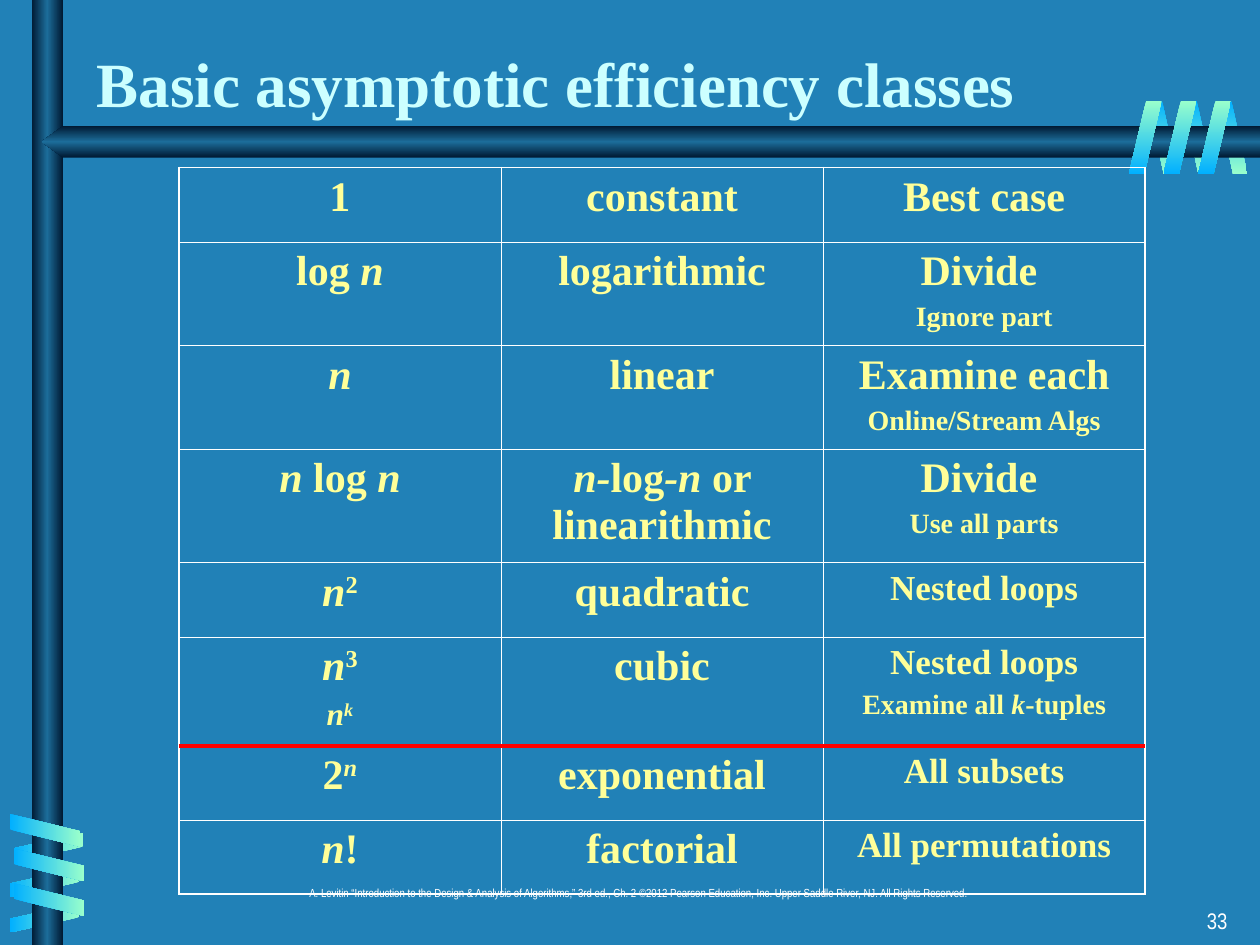
from dataclasses import dataclass
from typing import NamedTuple

from lxml import etree
from pptx import Presentation
from pptx import util as u
from pptx.dml.color import RGBColor
from pptx.enum import shapes, text
from pptx.oxml import parse_xml
from pptx.oxml.ns import nsdecls, qn

COLS, ROWS = 40, 30  # grid of the slide, quarter-inch cells


@dataclass(frozen=True)
class Theme:
    background: str = "2181B7"
    title: str = "CCFFFF"
    body: str = "FFFF99"
    light: str = "FFFFFF"
    divider: str = "FF0000"
    bar: tuple = ("001932", "1C6D9A", "001932")
    blue_green: tuple = ("01B0FF", "99FFCC")
    green_blue: tuple = ("99FFCC", "01B0FF")
    serif: str = "Times New Roman"
    narrow: str = "Arial Narrow"
    title_size: float = 36
    large: float = 24
    medium: float = 20
    minor: float = 18
    small: float = 16
    number_size: float = 12.9
    footer_size: float = 6.7
    inner_border: float = 0.45
    outer_border: float = 1.08


T = Theme()


class Box(NamedTuple):
    left: float
    top: float
    width: float
    height: float


class Line(NamedTuple):
    """Words of one paragraph: | switches italics, a leading ^ raises a part."""
    markup: str
    size: float = T.large


class Coil(NamedTuple):
    """Bands of equal size, each at its own left and top."""
    corners: list
    width: float
    height: float
    rotation: int
    flipped: bool
    colors: tuple
    angle: int


class Label(NamedTuple):
    words: str
    box: Box
    font: str
    size: float
    color: str
    align: text.PP_ALIGN
    anchor: text.MSO_ANCHOR = text.MSO_ANCHOR.TOP
    spacing: float = 1.0
    bold: bool = False


BACK_TOP = Coil([(36.44 + 1.1 * i, 3.2) for i in (2, 1, 0)], 0.96, 2.32, 180, True, T.blue_green, 90)
BACK_SIDE = Coil([(x, 25.8 + 1.12 * i) for i, x in enumerate((1.08, 0.96, 0.96))],
                 0.92, 2.2, 90, True, T.green_blue, 0)
FRONT_SIDE = Coil([(x, 25.24 + 1.1 * i) for i, x in enumerate((0.92, 1.04, 1.04))],
                  1.04, 2.24, 270, False, T.blue_green, 0)
FRONT_TOP = Coil([(35.84 + 1.1 * i, 3.2) for i in (2, 1, 0)], 1.04, 2.32, 0, False, T.green_blue, 90)

LABELS = [
    Label("A. Levitin “Introduction to the Design & Analysis of Algorithms,” 3rd ed., Ch. 2 "
          "©2012 Pearson Education, Inc. Upper Saddle River, NJ. All Rights Reserved. ",
          Box(8.68, 28, 23.32, 1.32), T.narrow, T.footer_size, T.light,
          text.PP_ALIGN.CENTER, spacing=0.8),
    Label("33", Box(31.04, 28.68, 8.32, 1.32), T.narrow, T.number_size, T.light,
          text.PP_ALIGN.RIGHT, spacing=0.9),
    Label("Basic asymptotic efficiency classes", Box(2.68, 1, 33.2, 3), T.serif, T.title_size,
          T.title, text.PP_ALIGN.LEFT, text.MSO_ANCHOR.BOTTOM, bold=True),
]

CLASSES = [  # row height, then the lines of each cell
    (2.36, [Line("1")], [Line("constant")], [Line("Best case")]),
    (3.28, [Line("log |n")], [Line("logarithmic")], [Line("Divide "), Line("Ignore part", T.small)]),
    (3.28, [Line("|n")], [Line("linear")],
     [Line("Examine each"), Line("Online/Stream Algs", T.small)]),
    (3.6, [Line("|n |log |n")], [Line("|n-|log|-n |or linearithmic")],
     [Line("Divide "), Line("Use all parts", T.small)]),
    (2.36, [Line("|n|^2")], [Line("quadratic")], [Line("Nested loops", T.medium)]),
    (3.44, [Line("|n|^3"), Line("|n||^k", T.minor)], [Line("cubic")],
     [Line("Nested loops", T.medium), Line("Examine all |k|-tuples", T.small)]),
    (2.36, [Line("2|^n")], [Line("exponential")], [Line("All subsets", T.medium)]),
    (2.36, [Line("|n|!")], [Line("factorial")], [Line("All permutations", T.medium)]),
]
TABLE = Box(5.68, 5.32, 30.68, sum(row[0] for row in CLASSES))
DIVIDER_ROW = 23.68


def grid(*cells: float) -> list:
    return [u.Inches(n / 4) for n in cells]


def set_gradient(s, colors: tuple, angle: int) -> None:
    """Fill with evenly spaced stops that keep their direction when the shape turns."""
    s.fill.background()
    old = s._element.spPr.find(qn("a:noFill"))
    stops = "".join(f'<a:gs pos="{100000 * i // (len(colors) - 1)}"><a:srgbClr val="{c}"/></a:gs>'
                    for i, c in enumerate(colors))
    old.getparent().replace(old, parse_xml(
        f'<a:gradFill {nsdecls("a")} rotWithShape="0"><a:gsLst>{stops}</a:gsLst>'
        f'<a:lin ang="{angle * 60000}" scaled="0"/></a:gradFill>'))
    s.line.fill.background()
    s.shadow.inherit = False


def draw_coil(slide, coil: Coil) -> None:
    group = slide.shapes.add_group_shape()
    for corner in coil.corners:
        s = group.shapes.add_shape(shapes.MSO_SHAPE.PARALLELOGRAM,
                                   *grid(*corner, coil.width, coil.height))
        s.adjustments[0] = 0.53
        s.rotation = coil.rotation
        if coil.flipped:
            s._element.spPr.find(qn("a:xfrm")).set("flipH", "1")
        set_gradient(s, coil.colors, coil.angle)


def draw_bars(slide) -> None:
    upright = slide.shapes.add_shape(shapes.MSO_SHAPE.RECTANGLE, *grid(1, 0, 1, ROWS))
    set_gradient(upright, T.bar, 0)
    builder = slide.shapes.build_freeform(*grid(COLS, 4), scale=1.0)
    builder.add_line_segments([grid(*pt) for pt in ((2, 4), (1.32, 4.5), (2, 5), (COLS, 5))])
    set_gradient(builder.convert_to_shape(), T.bar, 90)


def style(font, name: str, size: float, color: str, bold: bool) -> None:
    font.name, font.size, font.bold = name, u.Pt(size), bold
    font.color.rgb = RGBColor.from_string(color)


def draw_label(slide, label: Label) -> None:
    tf = slide.shapes.add_textbox(*grid(*label.box)).text_frame
    tf.word_wrap, tf.vertical_anchor = True, label.anchor
    tf.text = label.words
    p = tf.paragraphs[0]
    p.alignment, p.line_spacing = label.align, label.spacing
    style(p.runs[0].font, label.font, label.size, label.color, label.bold)


def write_cell(cell, lines: list) -> None:
    tf = cell.text_frame
    for i, line in enumerate(lines):
        p = tf.add_paragraph() if i else tf.paragraphs[0]
        p.alignment = text.PP_ALIGN.CENTER
        if i:
            p.space_before = u.Pt(line.size / 4)
        for part, words in enumerate(line.markup.split("|")):
            if words:
                r = p.add_run()
                r.text = words.removeprefix("^")
                style(r.font, T.serif, line.size, T.body, True)
                r.font.italic = part % 2 == 1
                if words.startswith("^"):
                    r.font._element.set("baseline", "30000")


def set_borders(cell, outer: dict) -> None:
    tc_pr = cell._tc.get_or_add_tcPr()
    for i, side in enumerate("LRTB"):
        width = u.Pt(T.outer_border if outer[side] else T.inner_border)
        tc_pr.insert(i, parse_xml(
            f'<a:ln{side} {nsdecls("a")} w="{width}"><a:solidFill>'
            f'<a:srgbClr val="{T.light}"/></a:solidFill></a:ln{side}>'))


def draw_table(slide) -> None:
    last_row, last_col = len(CLASSES) - 1, 2
    table = slide.shapes.add_table(last_row + 1, last_col + 1, *grid(*TABLE)).table
    table.first_row = table.horz_banding = False
    for y, (height, *cells) in enumerate(CLASSES):
        table.rows[y].height = grid(height)[0]
        for x, lines in enumerate(cells):
            cell = table.cell(y, x)
            write_cell(cell, lines)
            cell.fill.background()
            set_borders(cell, {"L": x == 0, "R": x == last_col, "T": y == 0, "B": y == last_row})


def draw_divider(slide) -> None:
    s = slide.shapes.add_connector(
        shapes.MSO_CONNECTOR.STRAIGHT,
        *grid(TABLE.left, DIVIDER_ROW, TABLE.left + TABLE.width, DIVIDER_ROW))
    s.line.color.rgb = RGBColor.from_string(T.divider)
    s.line.width = u.Pt(2.25)
    etree.SubElement(s._element.spPr, qn("a:effectLst"))


def main() -> None:
    prs = Presentation()
    prs.slide_width, prs.slide_height = grid(COLS, ROWS)
    slide = prs.slides.add_slide(prs.slide_layouts[6])
    slide.background.fill.solid()
    slide.background.fill.fore_color.rgb = RGBColor.from_string(T.background)
    draw_coil(slide, BACK_TOP)
    draw_coil(slide, BACK_SIDE)
    draw_bars(slide)
    draw_coil(slide, FRONT_SIDE)
    draw_coil(slide, FRONT_TOP)
    for label in LABELS:
        draw_label(slide, label)
    draw_table(slide)
    draw_divider(slide)
    prs.save("out.pptx")


if __name__ == "__main__":
    main()
